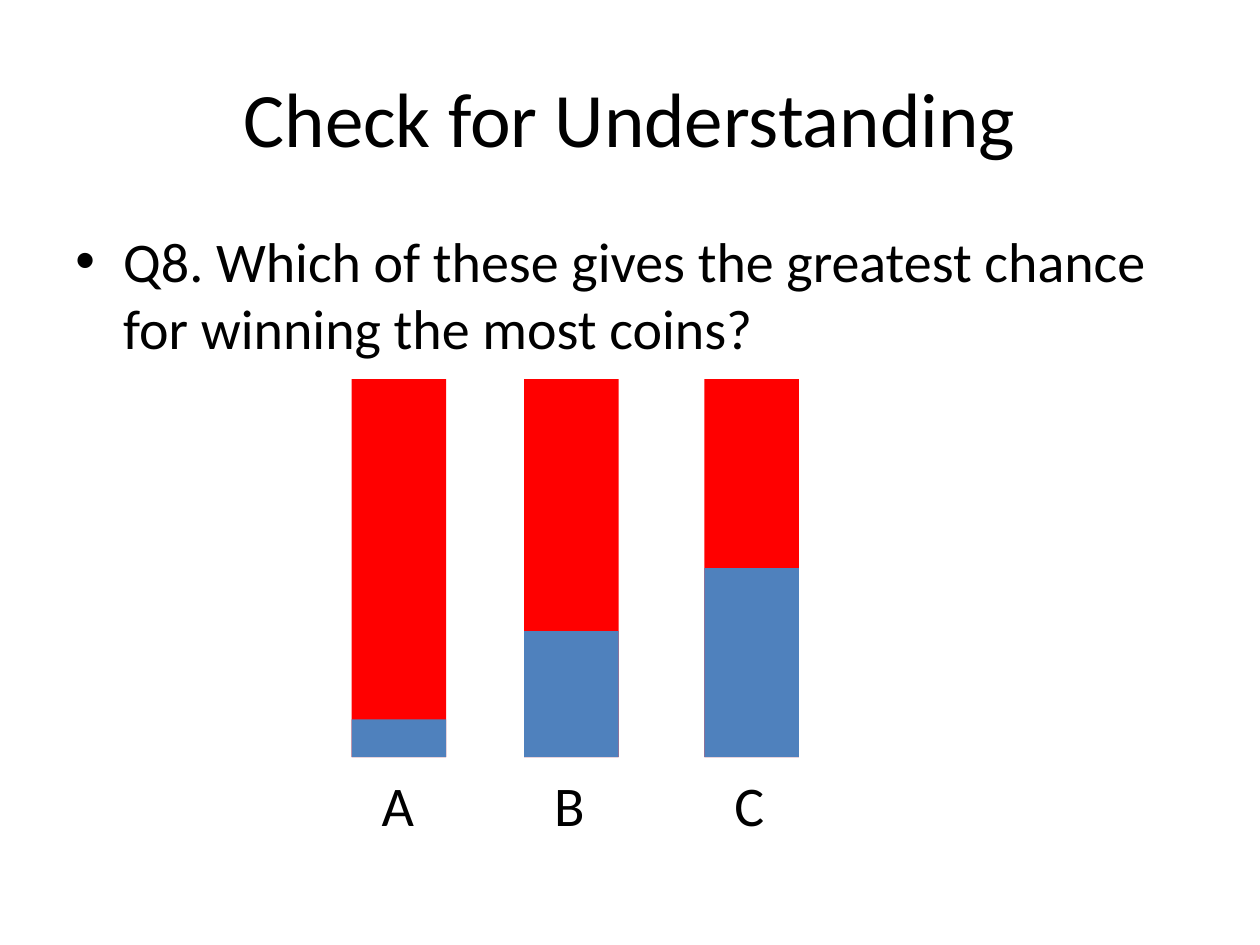
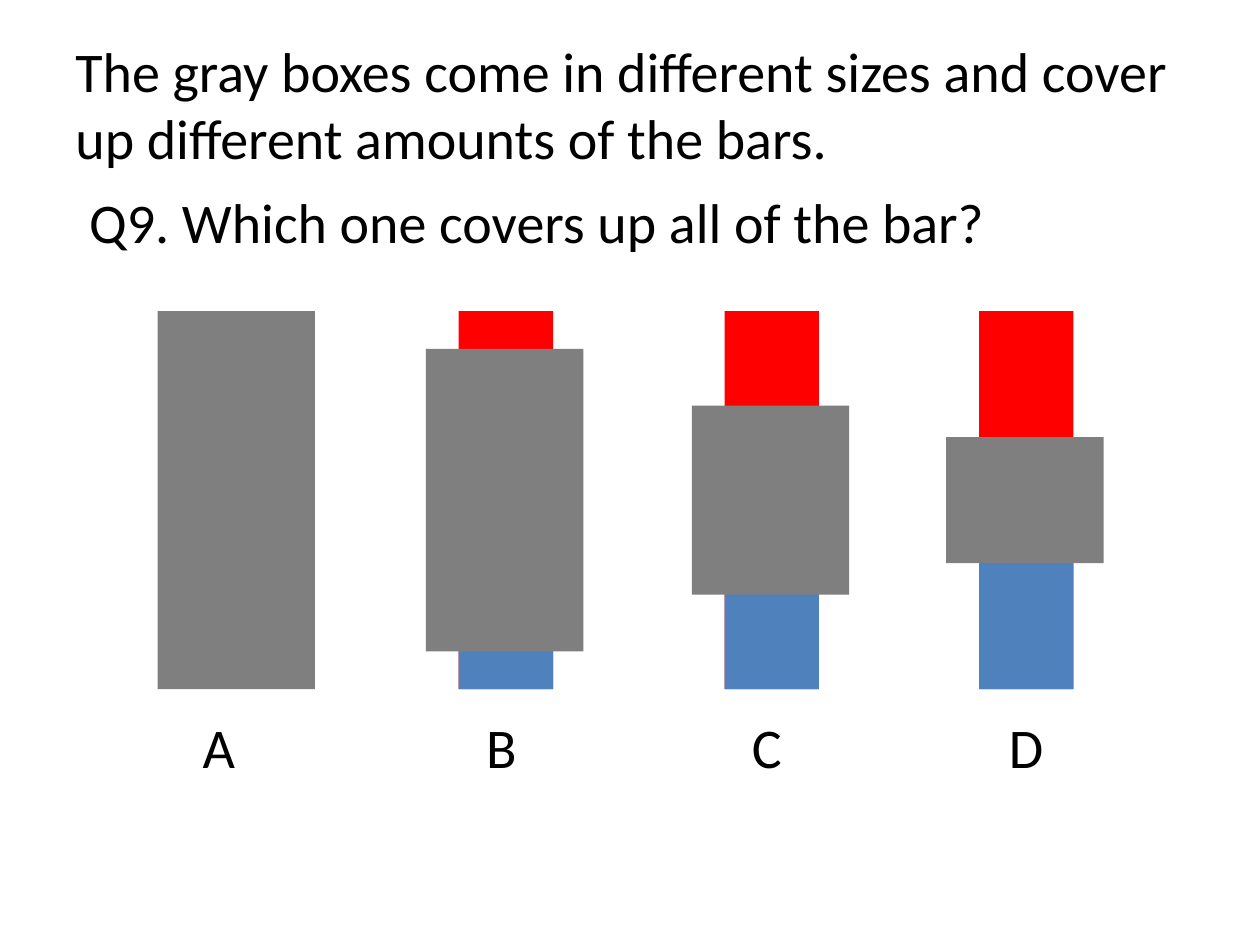
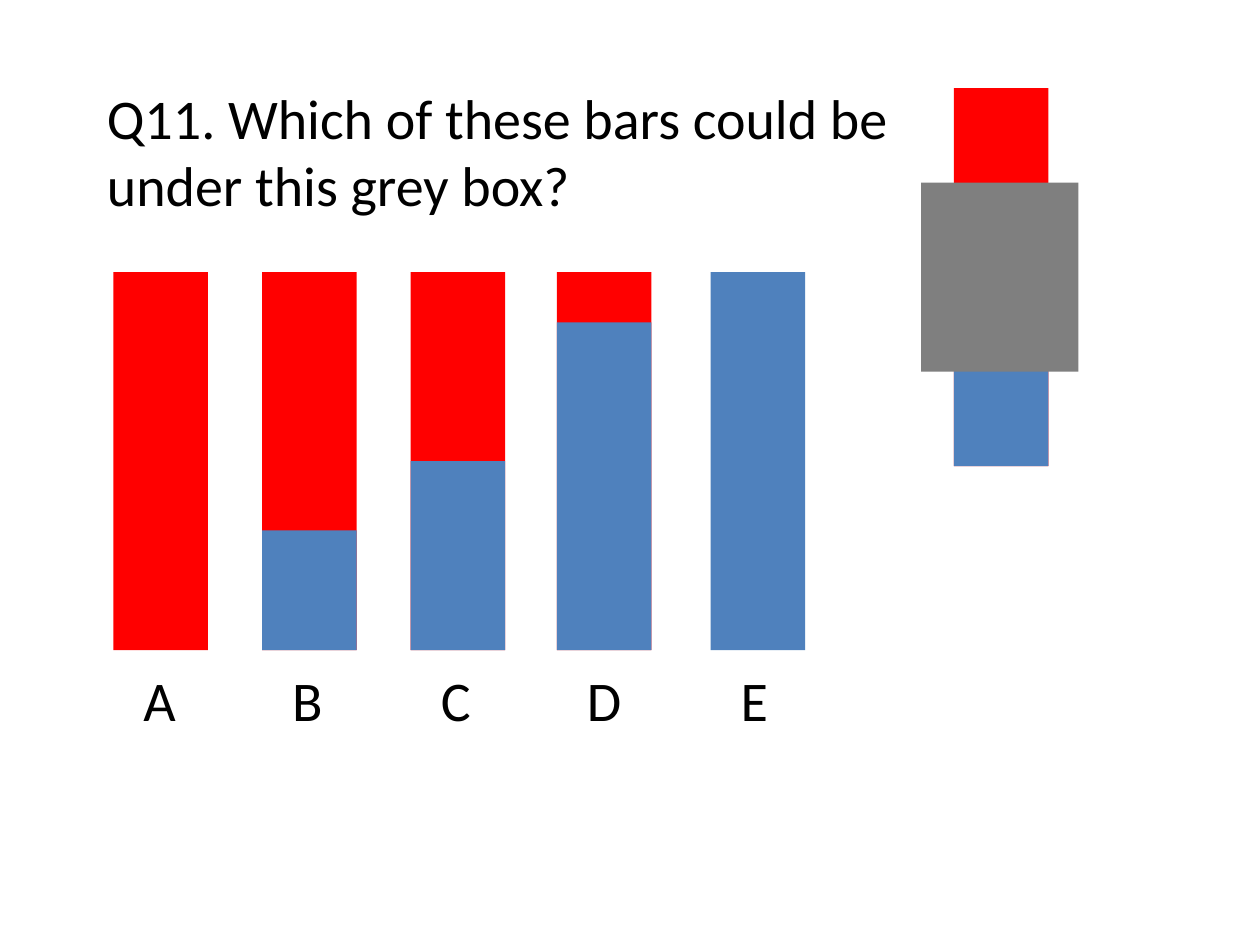
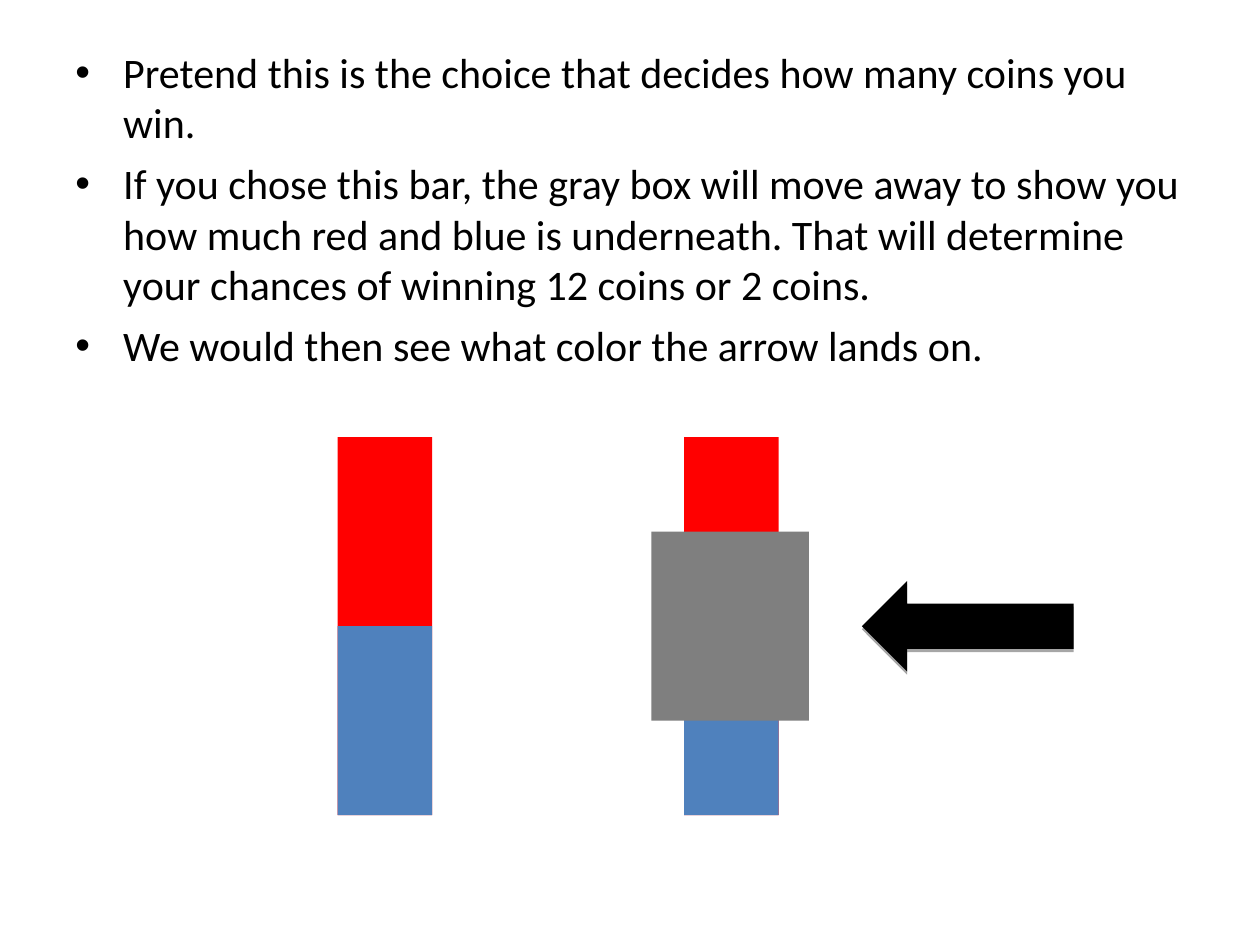
from dataclasses import dataclass

from lxml.etree import SubElement
from pptx import Presentation
from pptx.dml.color import RGBColor
from pptx.enum.shapes import MSO_SHAPE
from pptx.enum.text import MSO_ANCHOR, MSO_AUTO_SIZE, PP_ALIGN
from pptx.oxml.ns import qn
from pptx.shapes.autoshape import Shape
from pptx.slide import Slide
from pptx.util import Inches, Pt

# Shared style
BLACK = RGBColor(0x00, 0x00, 0x00)
WHITE = RGBColor(0xFF, 0xFF, 0xFF)
RED = RGBColor(0xFF, 0x00, 0x00)
BLUE = RGBColor(0x4F, 0x81, 0xBD)
GRAY = RGBColor(0x7F, 0x7F, 0x7F)
FONT = "Calibri"
BULLET_INDENT = 0.38

# Shared sizes in inches
BAR_WIDTH, BAR_HEIGHT = 0.75, 3.0
COVER_WIDTH, COVER_OVERHANG = 1.25, 0.26
LABEL_HEIGHT = 0.64
LABEL_WIDTHS = {"A": 0.46, "B": 0.44, "C": 0.44, "D": 0.47, "E": 0.41}


@dataclass(frozen=True)
class Bar:
    """A red bar, blue from the bottom up, with an optional gray cover."""
    left: float
    top: float
    blue_height: float = BAR_HEIGHT / 2
    cover_height: float = 0
    label: str = ""
    label_shift: float = 0.14


def add_text(slide: Slide, text: str, left: float, top: float, width: float,
             height: float, *, size: float = 32, space_before: float = 0,
             bullet: bool = False, wrap: bool = True,
             align: PP_ALIGN = PP_ALIGN.LEFT,
             anchor: MSO_ANCHOR = MSO_ANCHOR.TOP) -> None:
    """Add a text box with one paragraph for each line of text."""
    box = slide.shapes.add_textbox(Inches(left), Inches(top),
                                   Inches(width), Inches(height))
    frame = box.text_frame
    frame.word_wrap = wrap
    frame.auto_size = MSO_AUTO_SIZE.NONE if wrap else MSO_AUTO_SIZE.SHAPE_TO_FIT_TEXT
    frame.vertical_anchor = anchor
    for index, line in enumerate(text.split("\n")):
        paragraph = frame.add_paragraph() if index else frame.paragraphs[0]
        paragraph.alignment = align
        paragraph.space_before = Pt(space_before)
        run = paragraph.add_run()
        run.text = line
        run.font.name = FONT
        run.font.size = Pt(size)
        run.font.color.rgb = BLACK
        if bullet:
            properties = paragraph._p.get_or_add_pPr()
            properties.set("marL", str(Inches(BULLET_INDENT)))
            properties.set("indent", str(-Inches(BULLET_INDENT)))
            SubElement(properties, qn("a:buFont"), typeface="Arial")
            SubElement(properties, qn("a:buChar"), char="•")


def add_filled(shapes, color: RGBColor, left: float, top: float, width: float,
               height: float, kind: MSO_SHAPE = MSO_SHAPE.RECTANGLE) -> Shape:
    """Add a flat shape without an outline."""
    shape = shapes.add_shape(kind, Inches(left), Inches(top),
                             Inches(width), Inches(height))
    shape.shadow.inherit = False
    shape.fill.solid()
    shape.fill.fore_color.rgb = color
    shape.line.fill.background()
    return shape


def add_bar(slide: Slide, bar: Bar) -> None:
    """Draw only the visible parts of a bar, grouped when there are several."""
    parts = []
    if bar.cover_height < BAR_HEIGHT:
        if bar.blue_height < BAR_HEIGHT:
            parts.append((RED, bar.left, bar.top, BAR_WIDTH, BAR_HEIGHT))
        if bar.blue_height:
            blue_top = bar.top + BAR_HEIGHT - bar.blue_height
            parts.append((BLUE, bar.left, blue_top, BAR_WIDTH, bar.blue_height))
    if bar.cover_height:
        cover_top = bar.top + (BAR_HEIGHT - bar.cover_height) / 2
        parts.append((GRAY, bar.left - COVER_OVERHANG, cover_top,
                      COVER_WIDTH, bar.cover_height))
    shapes = slide.shapes.add_group_shape().shapes if len(parts) > 1 else slide.shapes
    for part in parts:
        add_filled(shapes, *part)


def add_choices(slide: Slide, bars: list[Bar], label_top: float) -> None:
    """Draw a row of bars with a letter below each."""
    for bar in bars:
        add_bar(slide, bar)
    for bar in bars:
        add_text(slide, bar.label, bar.left + bar.label_shift, label_top,
                 LABEL_WIDTHS[bar.label], LABEL_HEIGHT, wrap=False)


def add_arrow(slide: Slide) -> None:
    """Draw the black arrow with its thin shadow."""
    arrow = add_filled(slide.shapes, BLACK, 6.84, 4.61, 1.68, 0.72,
                       MSO_SHAPE.LEFT_ARROW)
    effects = arrow._element.spPr.find(qn("a:effectLst"))
    shadow = SubElement(effects, qn("a:outerShdw"), blurRad="0",
                        dist=str(Pt(1.8)), dir="5400000", rotWithShape="0")
    color = SubElement(shadow, qn("a:srgbClr"), val=str(BLACK))
    SubElement(color, qn("a:alpha"), val="35000")


def build_greatest_chance(slide: Slide) -> None:
    add_text(slide, "Check for Understanding", 0.5, 0.3, 9, 1.25, size=44,
             align=PP_ALIGN.CENTER, anchor=MSO_ANCHOR.MIDDLE)
    add_text(slide, "Q8. Which of these gives the greatest chance for winning "
             "the most coins?", 0.5, 1.75, 9, 1.26, space_before=8, bullet=True)
    top = 3.01
    add_choices(slide, [
        Bar(2.79, top, 0.3, label="A"),
        Bar(4.16, top, 1, label="B"),
        Bar(5.59, top, label="C"),
    ], label_top=6.07)


def build_cover_sizes(slide: Slide) -> None:
    add_text(slide, "The gray boxes come in different sizes and cover up "
             "different amounts of the bars.", 0.5, 0.24, 8.9, 1.59, space_before=8)
    add_text(slide, "Q9. Which one covers up all of the bar?",
             0.61, 1.44, 8.9, 0.78, space_before=8)
    top = 2.47
    add_choices(slide, [
        Bar(1.51, top, cover_height=BAR_HEIGHT, label="A", label_shift=0),
        Bar(3.64, top, cover_height=2.4, label="B", label_shift=0.12),
        Bar(5.75, top, cover_height=1.5, label="C", label_shift=0.12),
        Bar(7.77, top, cover_height=1, label="D"),
    ], label_top=5.61)


def build_hidden_bar(slide: Slide) -> None:
    add_text(slide, "Q11. Which of these bars could be under this grey box?",
             0.75, 0.61, 6.53, 1.59, space_before=8)
    add_bar(slide, Bar(7.57, 0.7, cover_height=1.5))
    top = 2.16
    add_choices(slide, [
        Bar(0.9, top, 0, label="A"),
        Bar(2.08, top, 0.95, label="B"),
        Bar(3.26, top, label="C"),
        Bar(4.42, top, 2.6, label="D"),
        Bar(5.64, top, BAR_HEIGHT, label="E"),
    ], label_top=5.23)


def build_arrow_result(slide: Slide) -> None:
    add_text(slide, "Pretend this is the choice that decides how many coins you win.\n"
             "If you chose this bar, the gray box will move away to show you how "
             "much red and blue is underneath. That will determine your chances "
             "of winning 12 coins or 2 coins.\n"
             "We would then see what color the arrow lands on.",
             0.5, 0.32, 9, 2.34, size=24, space_before=6, bullet=True)
    top = 3.47
    add_bar(slide, Bar(2.68, top))
    add_bar(slide, Bar(5.43, top, cover_height=1.5))
    add_arrow(slide)


def main() -> None:
    presentation = Presentation()
    presentation.slide_width = Inches(10)
    presentation.slide_height = Inches(7.5)
    blank_layout = presentation.slide_layouts[6]
    for build in (build_greatest_chance, build_cover_sizes,
                  build_hidden_bar, build_arrow_result):
        slide = presentation.slides.add_slide(blank_layout)
        slide.background.fill.solid()
        slide.background.fill.fore_color.rgb = WHITE
        build(slide)
    presentation.save("out.pptx")


if __name__ == "__main__":
    main()
